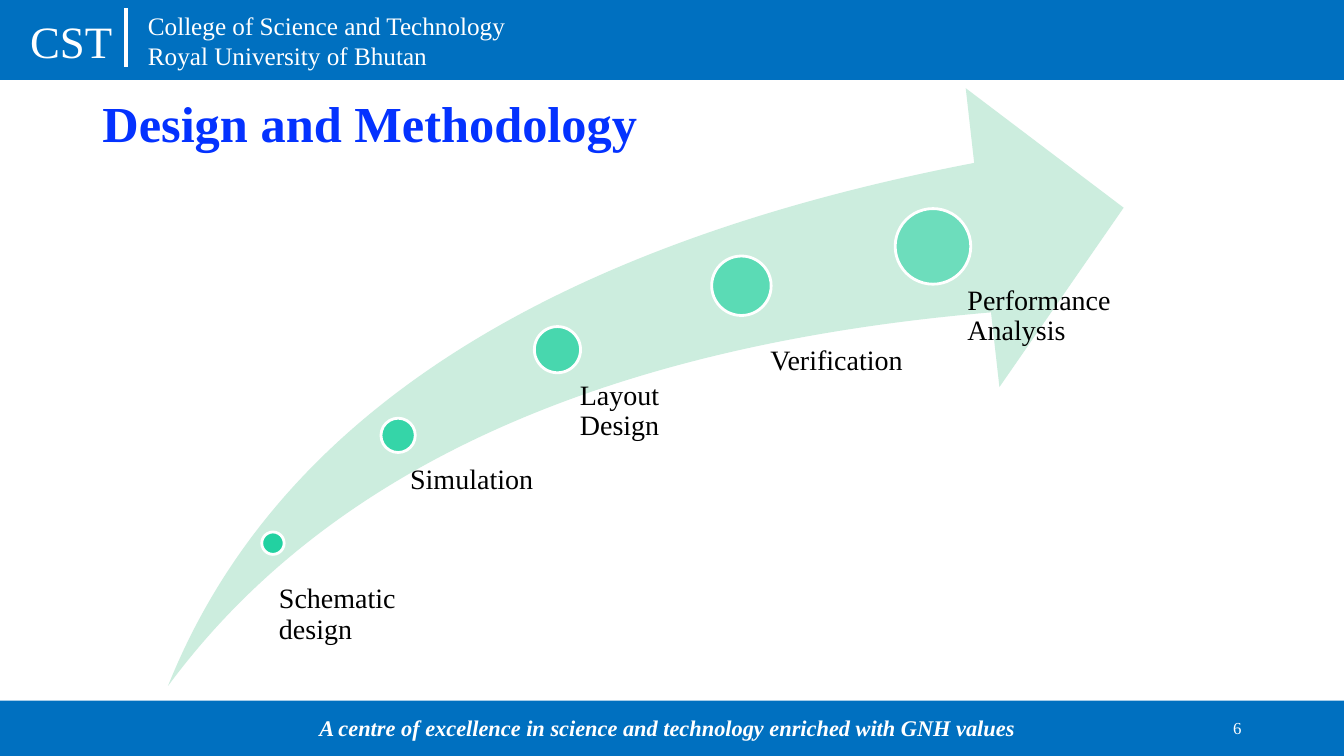
from lxml import etree
from pptx import Presentation
from pptx.dml.color import RGBColor as Rgb
from pptx.enum.shapes import MSO_CONNECTOR as Conn, MSO_SHAPE as Kind
from pptx.enum.text import MSO_ANCHOR as Anchor, MSO_AUTO_SIZE as Fit, PP_ALIGN as Align
from pptx.oxml.ns import qn
from pptx.util import Pt

FONT = "Times New Roman"
HUES = {"bar": "0070C0", "white": "FFFFFF", "title": "0432FF",
        "arrow": "CCEDDE", "dot": "10CF9B", "black": "000000"}
STEPS = [
    ("Schematic design", 75, 325, 16, (70.8, 354.6, 108, 50)),
    ("Simulation", 164.4, 248, 24.5, (160, 269.6, 122.4, 136)),
    ("Layout Design", 278.2, 186.8, 33, (276.7, 209.2, 132.5, 195)),
    ("Verification", 409.6, 141.1, 42.5, (407.8, 184.7, 141, 198)),
    ("Performance Analysis", 546.4, 113, 54, (542.4, 141.5, 145.4, 256)),
]


def hue(name):
    """Return the named colour."""
    return Rgb.from_string(HUES[name])


def write(shape, text, size=20, color="white", bold=False, slant=False,
          align=Align.LEFT, anchor=Anchor.TOP, pads=(7.2, 3.6, 7.2, 3.6), space=1):
    """Fill a shape with formatted text, one paragraph per line."""
    frame = shape.text_frame
    frame.text = text
    frame.word_wrap = True
    frame.auto_size = Fit.NONE
    frame.vertical_anchor = anchor
    (frame.margin_left, frame.margin_top,
     frame.margin_right, frame.margin_bottom) = map(Pt, pads)
    for para in frame.paragraphs:
        para.alignment = align
        para.line_spacing = space
        font = para.runs[0].font
        font.name, font.size = FONT, Pt(size)
        font.bold, font.italic = bold, slant
        font.color.rgb = hue(color)


def label(slide, box, text, **form):
    """Add a text box."""
    write(slide.shapes.add_textbox(*map(Pt, box)), text, **form)


def form(slide, kind, box, color):
    """Add a flat shape without an outline."""
    shape = slide.shapes.add_shape(kind, *map(Pt, box))
    shape.shadow.inherit = False
    shape.fill.solid()
    shape.fill.fore_color.rgb = hue(color)
    shape.line.fill.background()
    return shape


def header(slide, box):
    """Draw the top bar with the college name."""
    x, y, w, h = box
    form(slide, Kind.RECTANGLE, box, "bar")
    label(slide, (x + 14.4, y + 6.5, 78, 46), "CST", size=32)
    rule = slide.shapes.add_connector(
        Conn.STRAIGHT, Pt(x + 90), Pt(y + 6), Pt(x + 90), Pt(y + 48))
    rule.line.color.rgb = hue("white")
    rule.line.width = Pt(3)
    etree.SubElement(rule._element.spPr, qn("a:effectLst"))
    label(slide, (x + 98.6, y + 3.6, 280, 51),
          "College of Science and Technology\nRoyal University of Bhutan", size=18)


def footer(slide, box):
    """Draw the bottom bar with the motto and page number."""
    x, y, w, h = box
    form(slide, Kind.RECTANGLE, box, "bar")
    label(slide, (x + 221, y + 6.5, 518.4, 27),
          "A centre of excellence in science and technology enriched with GNH values",
          size=16, bold=True, slant=True)
    label(slide, (x + 781, y + 5, 113, 29), "6", size=12,
          align=Align.RIGHT, anchor=Anchor.MIDDLE)


def heading(slide, box):
    """Place the slide title."""
    title = slide.shapes.title
    title.left, title.top, title.width, title.height = map(Pt, box)
    write(title, "Design and Methodology", size=36, color="title",
          bold=True, anchor=Anchor.MIDDLE, space=0.9)


def process(slide, box):
    """Draw the rising arrow with its steps."""
    x, y, w, h = box
    arrow = form(slide, Kind.SWOOSH_ARROW, box, "arrow")
    arrow.adjustments[0] = arrow.adjustments[1] = 0.25
    for i, (name, mid, row, size, (left, top, wide, high)) in enumerate(STEPS):
        dot = form(slide, Kind.OVAL,
                   (x + mid - size / 2, y + row - size / 2, size, size), "dot")
        dot.line.color.rgb = hue("white")
        dot.line.width = Pt(2)
        tint = dot._element.spPr.find(qn("a:solidFill"))[0]
        etree.SubElement(tint, qn("a:alpha"), val=str(90000 - i * 10000))
        label(slide, (x + left, y + top, wide, high), name, color="black",
              pads=(0.53 * size, 0, 0, 0), space=0.9)


def main():
    """Build and save the slide."""
    deck = Presentation()
    deck.slide_width, deck.slide_height = Pt(960), Pt(540)
    slide = deck.slides.add_slide(deck.slide_layouts[5])
    header(slide, (0, 0, 960, 57))
    footer(slide, (0, 500.4, 960, 39.6))
    heading(slide, (66, 61, 894, 57.6))
    process(slide, (120, 63, 682.6, 427))
    deck.save("out.pptx")


if __name__ == "__main__":
    main()
